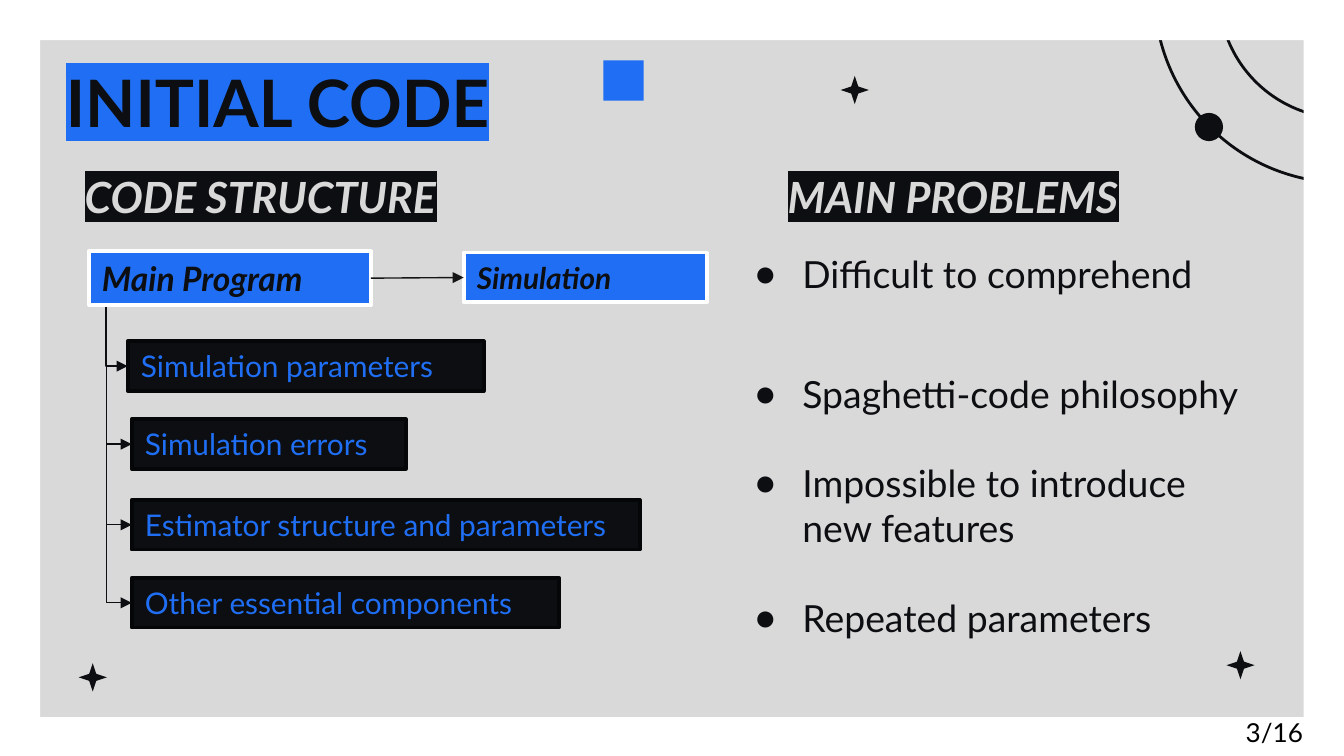
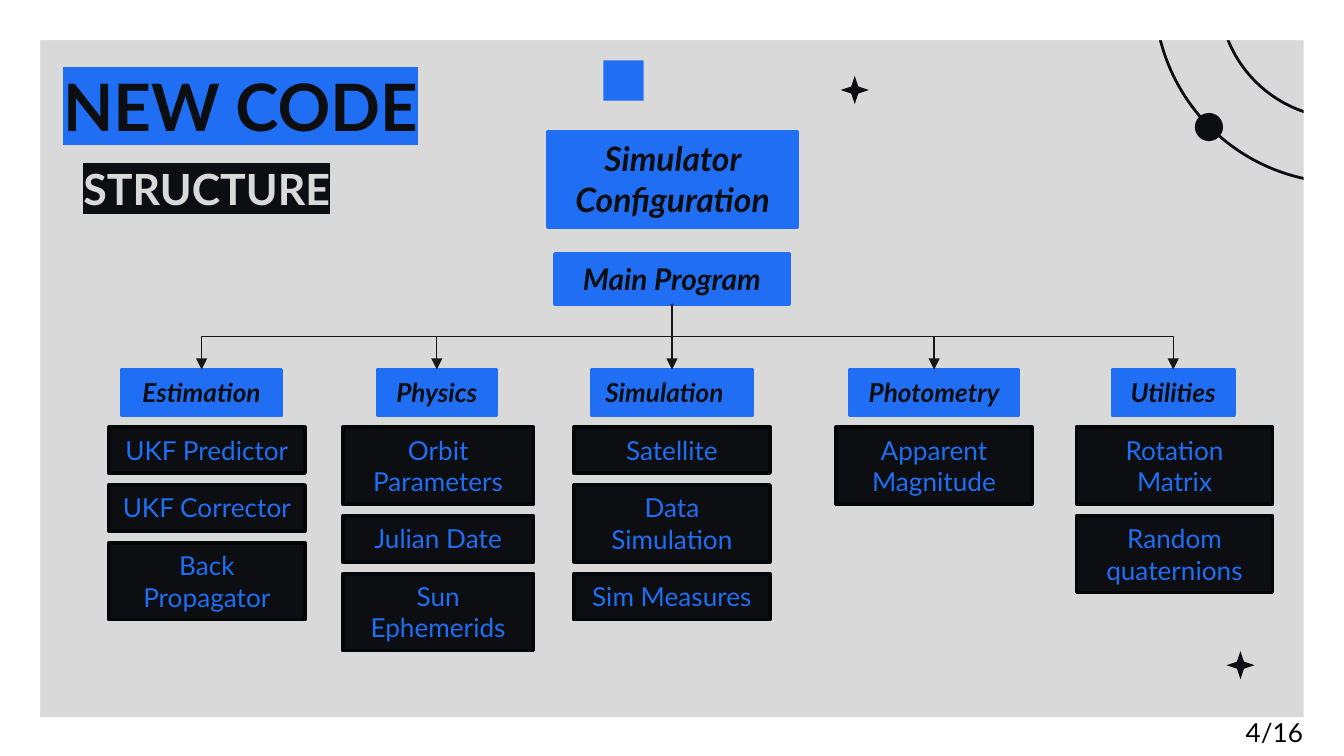
import pptx
import pptx.dml.color
import pptx.enum.shapes
import pptx.enum.text
import pptx.oxml
import pptx.oxml.ns
import pptx.util

Inches, Pt = pptx.util.Inches, pptx.util.Pt
qn = pptx.oxml.ns.qn
SHAPE = pptx.enum.shapes.MSO_SHAPE
CONNECTOR = pptx.enum.shapes.MSO_CONNECTOR
ALIGN = pptx.enum.text.PP_ALIGN
ANCHOR = pptx.enum.text.MSO_ANCHOR
AUTO_SIZE = pptx.enum.text.MSO_AUTO_SIZE

# Shared look
WIDTH, HEIGHT, BAND = 10, 5.625, 0.3
FONT = "Lato"
INK, BLUE, GREY, WHITE = "0C0E11", "1F6EF3", "D9D9D9", "FFFFFF"
EDGE, WIRE, BLACK = "050607", "161616", "000000"
TOTAL_PAGES = 16
RING_CENTRE, RING_RADII = (10, -0.05), (1.41, 0.93)
DOT = (8.89, 0.84, 0.21, 0.21)
SQUARE = (4.49, 0.45, 0.3, 0.3)
STARS = [(9.23, 4.95), (6.36, 0.67)]
STAR_LONG, STAR_SHORT = 0.105, 0.035

# Slide 1 content: (text, left, top, width), (text, points of space before)
TRUNK_X, TRUNK_TOP, ITEM_HEIGHT = 0.79, 2.25, 0.37
PROGRAM_PARTS = [
    ("Simulation parameters", 0.95, 2.54, 2.65),
    ("Simulation errors", 0.98, 3.12, 2.04),
    ("Estimator structure and parameters", 0.98, 3.72, 3.78),
    ("Other essential components", 0.98, 4.3, 3.18),
]
PROBLEMS = [
    ("Difficult to comprehend", 0),
    ("Spaghetti-code philosophy", 40),
    ("Impossible to introduce new features", 24),
    ("Repeated parameters", 24),
]

# Slide 2 content: heading, its centre, width and alignment,
# then centre and width of the stack, and (text, lines) for each box
MODULES = [
    ("Estimation", 1.5, 1.19, ALIGN.CENTER, 1.54, 1.46,
     [("UKF Predictor", 1), ("UKF Corrector", 1), ("Back Propagator", 2)]),
    ("Physics", 3.25, 0.88, ALIGN.CENTER, 3.26, 1.42,
     [("Orbit Parameters", 2), ("Julian Date", 1), ("Sun Ephemerids", 2)]),
    ("Simulation", 5, 1.19, ALIGN.LEFT, 5, 1.46,
     [("Satellite", 1), ("Data Simulation", 2), ("Sim Measures", 1)]),
    ("Photometry", 6.95, 1.25, ALIGN.CENTER, 6.95, 1.46,
     [("Apparent Magnitude", 2)]),
    ("Utilities", 8.73, 0.9, ALIGN.CENTER, 8.74, 1.46,
     [("Rotation Matrix", 2), ("Random quaternions", 2)]),
]
HEADING_TOP, STACK_TOP, STACK_GAP = 2.75, 3.18, 0.09
BOX_HEIGHT = {1: 0.34, 2: 0.57}


def color(value):
    return pptx.dml.color.RGBColor.from_string(value)


def place(shape, box):
    shape.left, shape.top, shape.width, shape.height = map(Inches, box)


def style_runs(paragraph, size, ink, bold=False, italic=False, highlight=None):
    for run in paragraph.runs:
        font = run.font
        font.name, font.size, font.bold, font.italic = FONT, Pt(size), bold, italic
        font.color.rgb = color(ink)
        if highlight:
            mark = pptx.oxml.parse_xml(
                f'<a:highlight {pptx.oxml.ns.nsdecls("a")}><a:srgbClr val="{highlight}"/></a:highlight>')
            run._r.rPr.find(qn("a:solidFill")).addnext(mark)


def paint(shape, fill=None, line=None, weight=2):
    shape.shadow.inherit = False
    if fill:
        shape.fill.solid()
        shape.fill.fore_color.rgb = color(fill)
    else:
        shape.fill.background()
    if line:
        shape.line.color.rgb = color(line)
        shape.line.width = Pt(weight)
    else:
        shape.line.fill.background()
    return shape


def add_plain(slide, kind, box, **look):
    return paint(slide.shapes.add_shape(kind, *map(Inches, box)), **look)


def add_star(slide, x, y):
    for across, up in [(STAR_SHORT, STAR_LONG), (STAR_LONG, STAR_SHORT)]:
        builder = slide.shapes.build_freeform(Inches(x), Inches(y - up), scale=1.0)
        corners = [(x - across, y), (x, y + up), (x + across, y)]
        builder.add_line_segments([(Inches(a), Inches(b)) for a, b in corners])
        paint(builder.convert_to_shape(), INK)


def add_box(slide, text, box, size, line, dark=False, align=ALIGN.CENTER):
    """Labelled box: dark for details, blue with bold italics for programs."""
    shape = add_plain(slide, SHAPE.RECTANGLE, box, fill=INK if dark else BLUE, line=line)
    frame = shape.text_frame
    frame.text = text
    frame.word_wrap = True
    frame.auto_size = AUTO_SIZE.SHAPE_TO_FIT_TEXT
    frame.vertical_anchor = ANCHOR.TOP
    frame.paragraphs[0].alignment = align
    style_runs(frame.paragraphs[0], size, BLUE if dark else INK, not dark, not dark)
    return shape


def fill_placeholder(shape, lines, box, anchor):
    place(shape, box)
    frame = shape.text_frame
    frame.text = "\n".join(lines)
    frame.word_wrap = True
    frame.auto_size = AUTO_SIZE.NONE
    frame.vertical_anchor = anchor
    frame.margin_left = frame.margin_right = Inches(0.1)
    frame.margin_top = frame.margin_bottom = Inches(0.1)
    for paragraph in frame.paragraphs:
        paragraph.alignment = ALIGN.LEFT
        paragraph.space_before = Pt(0)
    return frame


def add_title(slide, text, left, top):
    frame = fill_placeholder(slide.shapes.title, [text], (left, top, 4.76, 1.39), ANCHOR.TOP)
    style_runs(frame.paragraphs[0], 35, INK, bold=True, highlight=BLUE)


def add_subtitle(placeholder, text, left, top, width, italic):
    frame = fill_placeholder(placeholder, [text], (left, top, width, 0.97), ANCHOR.BOTTOM)
    style_runs(frame.paragraphs[0], 23, GREY, True, italic, INK)


def finish_wire(connector, ink):
    connector.line.color.rgb = color(ink)
    connector.line.width = Pt(0.75)
    properties = connector.element.spPr
    line = properties.find(qn("a:ln"))
    line.append(pptx.oxml.parse_xml(f'<a:tailEnd {pptx.oxml.ns.nsdecls("a")} type="triangle"/>'))
    line.addnext(pptx.oxml.parse_xml(f'<a:effectLst {pptx.oxml.ns.nsdecls("a")}/>'))


def add_straight(slide, source, source_site, target, target_site):
    connector = slide.shapes.add_connector(CONNECTOR.STRAIGHT, 0, 0, 0, 0)
    connector.begin_connect(source, source_site)
    connector.end_connect(target, target_site)
    finish_wire(connector, WIRE)


def add_elbow(slide, start, end, preset, ink):
    """Bent arrow that leaves downwards: a turned frame with swapped sides."""
    (x1, y1), (x2, y2) = start, end
    middle_x, middle_y = (x1 + x2) / 2, (y1 + y2) / 2
    half_wide, half_high = (y2 - y1) / 2, abs(x2 - x1) / 2
    rightwards = x2 > x1
    if rightwards:
        half_wide = -half_wide
    connector = slide.shapes.add_connector(
        CONNECTOR.ELBOW,
        Inches(middle_x - half_wide), Inches(middle_y - half_high),
        Inches(middle_x + half_wide), Inches(middle_y + half_high))
    properties = connector.element.spPr
    properties.find(qn("a:xfrm")).set("rot", str((270 if rightwards else 90) * 60000))
    properties.find(qn("a:prstGeom")).set("prst", preset)
    finish_wire(connector, ink)


def start_slide(presentation, page):
    """New slide with rings, stars, white frame, blue square and page number."""
    slide = presentation.slides.add_slide(presentation.slide_layouts.get_by_name("Comparison"))
    x, y = RING_CENTRE
    for radius in RING_RADII:
        add_plain(slide, SHAPE.OVAL, (x - radius, y - radius, 2 * radius, 2 * radius),
                  line=INK, weight=1.5)
    for star in STARS:
        add_star(slide, *star)
    add_plain(slide, SHAPE.OVAL, DOT, fill=INK)
    for band in [(0, 0, WIDTH, BAND), (0, HEIGHT - BAND + 0.01, WIDTH, BAND - 0.01),
                 (WIDTH - BAND, 0, BAND, HEIGHT), (0, 0, BAND, HEIGHT)]:
        add_plain(slide, SHAPE.RECTANGLE, band, fill=WHITE)
    add_plain(slide, SHAPE.RECTANGLE, SQUARE, fill=BLUE)
    number = slide.shapes.add_textbox(*map(Inches, (9.17, 5.28, 0.83, 0.34)))
    number.text_frame.text = f"{page}/{TOTAL_PAGES}"
    number.text_frame.word_wrap = True
    style_runs(number.text_frame.paragraphs[0], 14, BLACK)
    return slide


def remove_empty_placeholders(slide):
    for shape in list(slide.placeholders):
        if not shape.text_frame.text:
            shape.element.getparent().remove(shape.element)


def add_problem_list(placeholder):
    frame = fill_placeholder(placeholder, [text for text, _ in PROBLEMS],
                             (5.37, 1.77, 4.09, 3.09), ANCHOR.BOTTOM)
    for paragraph, (_, space) in zip(frame.paragraphs, PROBLEMS):
        paragraph.space_before = Pt(space)
        properties = paragraph._p.get_or_add_pPr()
        properties.set("marL", str(Inches(0.5)))
        properties.set("indent", str(Inches(-0.36)))
        for bullet in (f'<a:buClr {{}}><a:srgbClr val="{INK}"/></a:buClr>',
                       '<a:buChar {} char="●"/>'):
            properties.append(pptx.oxml.parse_xml(bullet.format(pptx.oxml.ns.nsdecls("a"))))
        style_runs(paragraph, 20, INK)


def build_initial_code(presentation):
    slide = start_slide(presentation, 3)
    add_title(slide, "INITIAL CODE", 0.39, 0.36)
    add_subtitle(slide.placeholders[1], "CODE STRUCTURE", 0.53, 0.78, 3.31, True)
    add_subtitle(slide.placeholders[3], "MAIN PROBLEMS", 5.76, 0.78, 3.31, True)
    add_problem_list(slide.placeholders[4])
    remove_empty_placeholders(slide)
    add_star(slide, 0.69, 5.04)
    # Program tree
    for text, left, top, width in PROGRAM_PARTS:
        add_box(slide, text, (left, top, width, ITEM_HEIGHT), 16, EDGE, True, ALIGN.LEFT)
        add_elbow(slide, (TRUNK_X, TRUNK_TOP), (left, top + ITEM_HEIGHT / 2),
                  "bentConnector2", INK)
    program = add_box(slide, "Main Program", (0.66, 1.87, 2.1, 0.4), 18, WHITE, align=ALIGN.LEFT)
    simulation = add_box(slide, "Simulation", (3.45, 1.88, 1.81, 0.37), 16, WHITE, align=ALIGN.LEFT)
    add_straight(slide, program, 3, simulation, 1)


def build_new_code(presentation):
    slide = start_slide(presentation, 4)
    add_title(slide, "NEW CODE", 0.37, 0.39)
    add_subtitle(slide.placeholders[1], "STRUCTURE", 0.52, 0.72, 2.65, False)
    remove_empty_placeholders(slide)
    add_box(slide, "Simulator Configuration", (4.08, 0.98, 1.85, 0.71), 18, BLUE)
    program = add_box(slide, "Main Program", (4.13, 1.89, 1.74, 0.37), 16, BLUE)
    # One column per module, stacked downwards
    for name, centre, width, align, stack_centre, stack_width, boxes in MODULES:
        heading = add_box(slide, name, (centre - width / 2, HEADING_TOP, width, BOX_HEIGHT[1]),
                          14, BLUE, align=align)
        if centre == WIDTH / 2:
            add_straight(slide, program, 2, heading, 0)
        else:
            add_elbow(slide, (WIDTH / 2, 2.26), (centre, HEADING_TOP), "bentConnector3", WIRE)
        top = STACK_TOP
        for text, lines in boxes:
            height = BOX_HEIGHT[lines]
            add_box(slide, text, (stack_centre - stack_width / 2, top, stack_width, height),
                    14, EDGE, True)
            top += height + STACK_GAP


def main():
    presentation = pptx.Presentation()
    presentation.slide_width, presentation.slide_height = Inches(WIDTH), Inches(HEIGHT)
    background = presentation.slide_master.background.fill
    background.solid()
    background.fore_color.rgb = color(GREY)
    build_initial_code(presentation)
    build_new_code(presentation)
    presentation.save("out.pptx")


if __name__ == "__main__":
    main()
